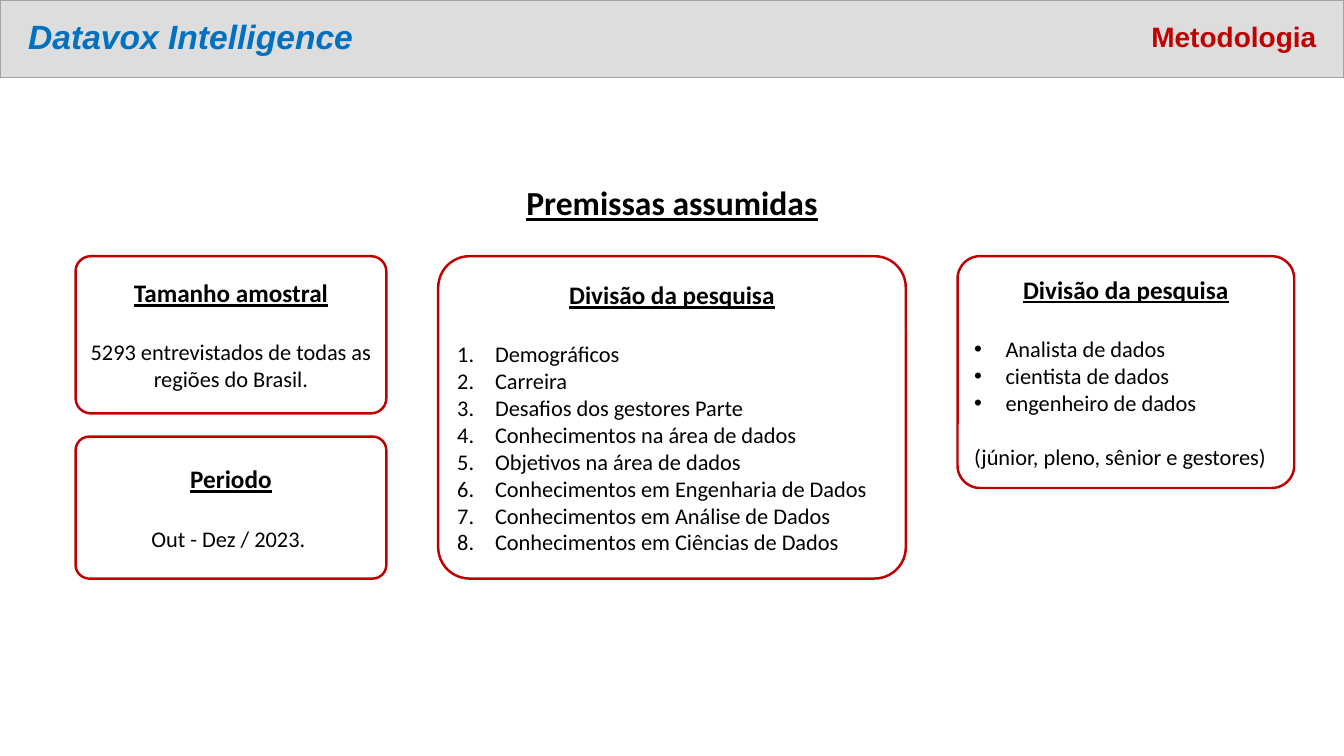
from dataclasses import dataclass

from lxml.etree import SubElement
from pptx import Presentation
from pptx.dml.color import RGBColor
from pptx.enum.shapes import MSO_SHAPE
from pptx.enum.text import MSO_ANCHOR, PP_ALIGN
from pptx.oxml.ns import qn
from pptx.util import Pt


@dataclass(frozen=True)
class Theme:
    """Colours, fonts and type sizes of the slide."""
    blue: str = "0070C0"
    red: str = "C00000"
    black: str = "000000"
    white: str = "FFFFFF"
    band: str = "DDDDDD"
    band_line: str = "A3A3A3"
    header_font: str = "Arial"
    body_font: str = "Calibri"
    title: int = 24
    section: int = 20
    heading: int = 18
    body: int = 16


def write(frame, text, size, color, font, bold=False, italic=False, underline=False,
          align=PP_ALIGN.LEFT, spacing=None, before=0, after=0, indent=0, bullet=None):
    """Write one formatted paragraph, using the empty first one if it is free."""
    first = frame.paragraphs[0]
    paragraph = frame.add_paragraph() if first.runs else first
    paragraph.alignment = align
    paragraph.line_spacing = spacing
    paragraph.space_before, paragraph.space_after = Pt(before), Pt(after)
    run = paragraph.add_run()
    run.text = text
    run.font.name, run.font.size = font, Pt(size)
    run.font.bold, run.font.italic, run.font.underline = bold, italic, underline
    run.font.color.rgb = RGBColor.from_string(color)
    if bullet:
        properties = paragraph._p.get_or_add_pPr()
        properties.set("marL", str(Pt(indent)))
        properties.set("indent", str(-Pt(indent)))
        SubElement(properties, qn("a:buFont"), typeface="Arial" if bullet == "•" else "+mj-lt")
        if bullet == "•":
            SubElement(properties, qn("a:buChar"), char=bullet)
        else:
            SubElement(properties, qn("a:buAutoNum"), type=bullet)


class SlideBuilder:
    """Places styled elements on the current slide."""

    def __init__(self, slide, theme):
        self.slide = slide
        self.theme = theme

    def shape(self, kind, place, fill, line, weight):
        """Add a filled and outlined preset shape."""
        shape = self.slide.shapes.add_shape(kind, *map(Pt, place))
        shape.shadow.inherit = False
        shape.fill.solid()
        shape.fill.fore_color.rgb = RGBColor.from_string(fill)
        shape.line.color.rgb = RGBColor.from_string(line)
        shape.line.width = Pt(weight)
        return shape

    def label(self, text, place, anchor=MSO_ANCHOR.MIDDLE, **style):
        """Add a one-line text box."""
        frame = self.slide.shapes.add_textbox(*map(Pt, place)).text_frame
        frame.word_wrap = True
        frame.vertical_anchor = anchor
        write(frame, text, **style)

    def card(self, heading, place):
        """Add a red rounded card with its heading and return its text frame."""
        theme = self.theme
        card = self.shape(MSO_SHAPE.ROUNDED_RECTANGLE, place, theme.white, theme.red, 1.75)
        card.adjustments[0] = 0.097
        frame = card.text_frame
        frame.word_wrap = True
        frame.vertical_anchor = MSO_ANCHOR.MIDDLE
        write(frame, heading, theme.heading, theme.black, theme.body_font, bold=True,
              underline=True, align=PP_ALIGN.CENTER, after=22)
        return frame

    def body(self, frame, lines, **style):
        """Add body lines to a card."""
        theme = self.theme
        for line in lines:
            write(frame, line, theme.body, theme.black, theme.body_font, **style)


def main():
    """Build and save the methodology slide."""
    deck = Presentation()
    deck.slide_width, deck.slide_height = Pt(960), Pt(540)
    theme = Theme()
    page = SlideBuilder(deck.slides.add_slide(deck.slide_layouts[6]), theme)

    page.shape(MSO_SHAPE.RECTANGLE, (0, 0, 960, 55.4), theme.band, theme.band_line, 1)
    header = dict(font=theme.header_font, bold=True, spacing=0.9)
    page.label("Datavox Intelligence", (13, 5.8, 253.4, 43.9), size=theme.title,
               color=theme.blue, italic=True, **header)
    page.label("Metodologia", (694, 5.8, 253.4, 43.9), size=theme.section,
               color=theme.red, align=PP_ALIGN.RIGHT, **header)
    page.label("Premissas assumidas", (0, 126.7, 960, 36), anchor=MSO_ANCHOR.TOP,
               size=theme.title, color=theme.black, font=theme.body_font, bold=True,
               underline=True, align=PP_ALIGN.CENTER)

    top, bottom = 183, 413.3
    left, width, period_top = 54, 222, 311.8
    sample = page.card("Tamanho amostral", (left, top, width, 112.3))
    page.body(sample, ["5293 entrevistados de todas as regiões do Brasil."],
              align=PP_ALIGN.CENTER)
    period = page.card("Periodo", (left, period_top, width, bottom - period_top))
    page.body(period, ["Out - Dez / 2023. "], align=PP_ALIGN.CENTER)

    roles = page.card("Divisão da pesquisa", (684, top, 240.5, 165.6))
    page.body(roles, ["Analista de dados", "cientista de dados", "engenheiro de dados"],
              indent=22.5, bullet="•")
    page.body(roles, ["(júnior, pleno, sênior e gestores)"], before=19.5)

    topics = page.card("Divisão da pesquisa", (313, top, 334, bottom - top))
    page.body(topics, [
        "Demográficos",
        "Carreira",
        "Desafios dos gestores Parte",
        "Conhecimentos na área de dados",
        "Objetivos na área de dados",
        "Conhecimentos em Engenharia de Dados",
        "Conhecimentos em Análise de Dados",
        "Conhecimentos em Ciências de Dados",
    ], indent=27, bullet="arabicPeriod")

    deck.save("out.pptx")


if __name__ == "__main__":
    main()
